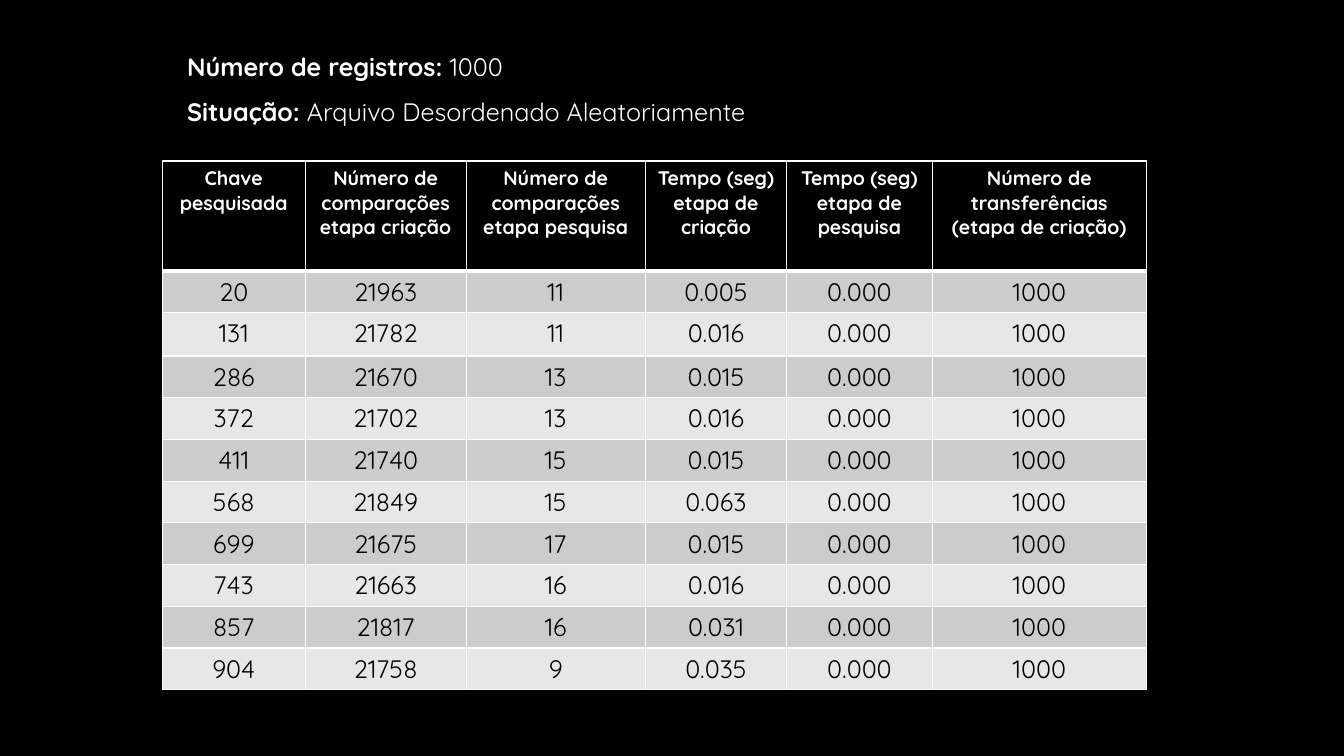
"""Build the slide with the search results for 1000 randomly ordered records."""
from pptx import Presentation
from pptx.dml.color import RGBColor
from pptx.enum import text
from pptx.oxml import parse_xml
from pptx.oxml import ns
from pptx.util import Pt

COLORS = {"black": "000000", "white": "FFFFFF", "odd": "CCCCCC", "even": "E7E7E7"}
FONT = "Quicksand"
COLUMN_WIDTHS = [102, 115, 128, 101, 104, 153]
HEADER_HEIGHT, ROW_HEIGHT, SECOND_ROW_HEIGHT = 78.5, 29.5, 31

SUMMARY = [
    ("Número de registros: ", "1000"),
    ("Situação: ", "Arquivo Desordenado Aleatoriamente"),
]
HEADERS = [
    "Chave pesquisada",
    "Número de comparações etapa criação",
    "Número de comparações etapa pesquisa",
    "Tempo (seg) etapa de criação",
    "Tempo (seg) etapa de pesquisa",
    "Número de transferências (etapa de criação)",
]
RESULTS = [
    ("20", "21963", "11", "0.005"),
    ("131", "21782", "11", "0.016"),
    ("286", "21670", "13", "0.015"),
    ("372", "21702", "13", "0.016"),
    ("411", "21740", "15", "0.015"),
    ("568", "21849", "15", "0.063"),
    ("699", "21675", "17", "0.015"),
    ("743", "21663", "16", "0.016"),
    ("857", "21817", "16", "0.031"),
    ("904", "21758", "9", "0.035"),
]
rows = [HEADERS] + [[*result, "0.000", "1000"] for result in RESULTS]


def style_font(font, size, color, bold=None):
    """Apply the common typeface with the given size, colour and weight."""
    font.name = FONT
    font.size = Pt(size)
    font.bold = bold
    font.color.rgb = RGBColor.from_string(COLORS[color])


def add_border(cell, side, width):
    """Draw a white line on one side of a table cell."""
    cell._tc.get_or_add_tcPr().append(parse_xml(
        f'<a:ln{side} {ns.nsdecls("a")} w="{Pt(width)}"><a:solidFill>'
        f'<a:srgbClr val="{COLORS["white"]}"/></a:solidFill></a:ln{side}>'))


deck = Presentation()
deck.slide_width, deck.slide_height = Pt(960), Pt(540)
page = deck.slides.add_slide(deck.slide_layouts[6])
page.background.fill.solid()
page.background.fill.fore_color.rgb = RGBColor.from_string(COLORS["black"])

frame = page.shapes.add_table(
    len(rows), len(HEADERS), Pt(116), Pt(115), Pt(sum(COLUMN_WIDTHS)), Pt(375))
table = frame.table
for column, width in zip(table.columns, COLUMN_WIDTHS):
    column.width = Pt(width)

for row_index, values in enumerate(rows):
    is_header = row_index == 0
    height = {0: HEADER_HEIGHT, 2: SECOND_ROW_HEIGHT}.get(row_index, ROW_HEIGHT)
    table.rows[row_index].height = Pt(height)
    fill = "black" if is_header else "odd" if row_index % 2 else "even"
    for column_index, value in enumerate(values):
        cell = table.cell(row_index, column_index)
        cell.text = value
        para = cell.text_frame.paragraphs[0]
        para.alignment = text.PP_ALIGN.CENTER
        style_font(para.font, 14 if is_header else 18,
                   "white" if is_header else "black", is_header)
        add_border(cell, "L", 1)
        add_border(cell, "R", 1)
        add_border(cell, "T", 3 if row_index == 1 else 1)
        add_border(cell, "B", 3 if is_header else 1)
        cell.fill.solid()
        cell.fill.fore_color.rgb = RGBColor.from_string(COLORS[fill])

box = page.shapes.add_textbox(Pt(126.5), Pt(22), Pt(458), Pt(73))
box.text_frame.word_wrap = True
for index, (label, value) in enumerate(SUMMARY):
    para = box.text_frame.paragraphs[0] if index == 0 else box.text_frame.add_paragraph()
    para.line_spacing = 1.5
    style_font(para.font, 18, "white")
    for content, bold in ((label, True), (value, False)):
        span = para.add_run()
        span.text = content
        span.font.bold = bold

deck.save("out.pptx")
